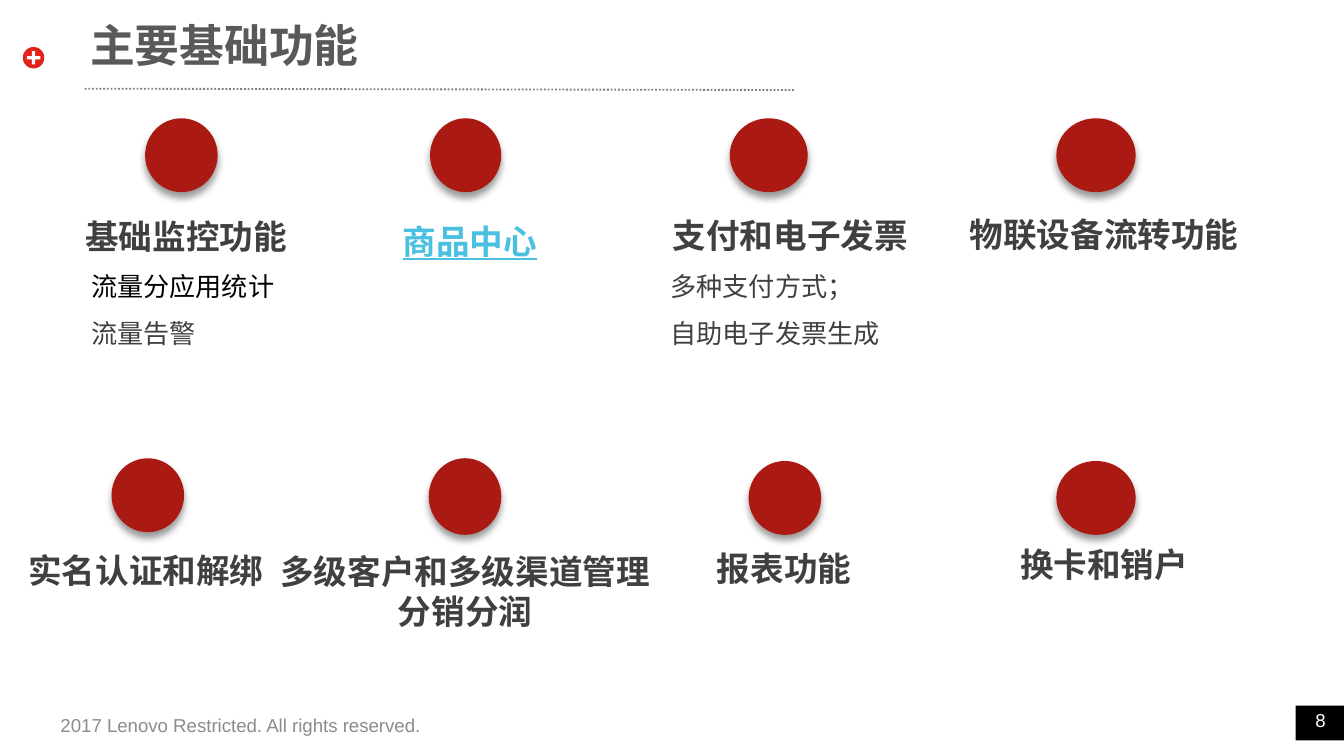
import pptx
import pptx.util
import pptx.dml.color
import pptx.enum.dml
import pptx.enum.shapes
import pptx.enum.text
import pptx.oxml
import pptx.oxml.ns

PX = 9144
SLIDE_WIDTH = 1000 * PX
SLIDE_HEIGHT = SLIDE_WIDTH * 9 // 16
SHAPE = pptx.enum.shapes.MSO_SHAPE
ALIGN = pptx.enum.text.PP_ALIGN
ANCHOR = pptx.enum.text.MSO_ANCHOR
NS = pptx.oxml.ns.nsdecls("a")

THEME = {
    "sans": "Arial", "cjk": "Noto Sans CJK SC", "condensed": "Roboto Condensed",
    "dot": "AA1A13", "icon": "E2231A", "white": "FFFFFF", "black": "000000",
    "title": "595959", "text": "404040", "link": "4AC0E0",
    "rule": "808080", "footer": "8C8C8C",
    "title_pt": 24, "heading_pt": 18, "detail_pt": 14, "small_pt": 10,
}

TITLE = "主要基础功能"
FOOTER = "2017 Lenovo Restricted. All rights reserved."
PAGE = "8"

FEATURES = [
    {"heading": "基础监控功能", "dot": (108, 88, 54, 55), "box": (50, 161, 177, 35),
     "details": [("流量分应用统计", "condensed", "black"), ("流量告警", "cjk", "text")],
     "details_box": (58, 189, 184, 71)},
    {"heading": "商品中心", "dot": (320, 88, 53, 55), "box": (255, 164, 189, 35), "link": True},
    {"heading": "支付和电子发票", "dot": (543, 88, 58, 55), "box": (481, 160, 214, 35),
     "details": [("多种支付方式；", "cjk", "text"), ("自助电子发票生成", "cjk", "text")],
     "details_box": (489, 189, 189, 71)},
    {"heading": "物联设备流转功能", "dot": (786, 88, 59, 55), "box": (698, 159, 247, 35)},
    {"heading": "实名认证和解绑", "dot": (83, 341, 54, 55), "box": (11, 409, 195, 35)},
    {"heading": "多级客户和多级渠道管理分销分润", "dot": (319, 341, 54, 57), "box": (195, 410, 302, 66)},
    {"heading": "报表功能", "dot": (557, 343, 54, 55), "box": (495, 408, 177, 35)},
    {"heading": "换卡和销户", "dot": (786, 343, 59, 55), "box": (698, 405, 247, 35)},
]


def emu(box):
    return [v * PX for v in box]


def rgb(name):
    return pptx.dml.color.RGBColor.from_string(THEME[name])


def add_shape(slide, kind, box, color):
    sp = slide.shapes.add_shape(kind, *emu(box))
    sp.shadow.inherit = False
    sp.fill.solid()
    sp.fill.fore_color.rgb = rgb(color)
    sp.line.fill.background()
    return sp


def add_dot(slide, box):
    sp = add_shape(slide, SHAPE.FLOWCHART_CONNECTOR, box, "dot")
    effects = sp._element.spPr.find(pptx.oxml.ns.qn("a:effectLst"))
    effects.append(pptx.oxml.parse_xml(
        f'<a:outerShdw {NS} blurRad="50800" dist="38100" dir="5400000" rotWithShape="0">'
        f'<a:srgbClr val="{THEME["black"]}"><a:alpha val="40000"/></a:srgbClr></a:outerShdw>'))


def add_text(slide, box, lines, size, align=ALIGN.CENTER, anchor=ANCHOR.TOP,
             insets=(0, 0, 0, 0), bold=False, underline=False, spacing=None):
    tf = slide.shapes.add_textbox(*emu(box)).text_frame
    tf.word_wrap = True
    tf.vertical_anchor = anchor
    tf.margin_left, tf.margin_top, tf.margin_right, tf.margin_bottom = emu(insets)
    for i, (text, face, color) in enumerate(lines):
        p = tf.paragraphs[0] if i == 0 else tf.add_paragraph()
        p.add_run().text = text
        p.alignment = align
        if spacing:
            p.line_spacing = spacing
        font = p.font
        font.name = THEME[face]
        font.size = pptx.util.Pt(THEME[size])
        font.bold = bold
        font.underline = underline
        font.color.rgb = rgb(color)
        p._p.pPr.find(pptx.oxml.ns.qn("a:defRPr")).append(
            pptx.oxml.parse_xml(f'<a:ea {NS} typeface="{THEME[face]}"/>'))


def add_rule(slide, start, end):
    line = slide.shapes.add_connector(
        pptx.enum.shapes.MSO_CONNECTOR.STRAIGHT, *emu(start + end))
    line.line.color.rgb = rgb("rule")
    line.line.width = pptx.util.Pt(1)
    line.line.dash_style = pptx.enum.dml.MSO_LINE.ROUND_DOT
    line._element.spPr.append(pptx.oxml.parse_xml(f"<a:effectLst {NS}/>"))


def add_feature(slide, feature):
    linked = feature.get("link", False)
    add_dot(slide, feature["dot"])
    if "details" in feature:
        add_text(slide, feature["details_box"], feature["details"], "detail_pt",
                 ALIGN.JUSTIFY, ANCHOR.MIDDLE, (10, 0, 0, 0), spacing=1.5)
    add_text(slide, feature["box"],
             [(feature["heading"], "cjk", "link" if linked else "text")],
             "heading_pt", insets=(10, 0, 10, 5), bold=True, underline=linked)


def main():
    prs = pptx.Presentation()
    prs.slide_width = SLIDE_WIDTH
    prs.slide_height = SLIDE_HEIGHT
    slide = prs.slides.add_slide(prs.slide_layouts[6])

    add_shape(slide, SHAPE.RECTANGLE, (964, 525, 36, 26), "black")
    add_text(slide, (45, 531, 339, 33), [(FOOTER, "sans", "footer")], "small_pt", ALIGN.LEFT)
    add_text(slide, (964, 524, 37, 20), [(PAGE, "sans", "white")], "small_pt",
             anchor=ANCHOR.BOTTOM)

    add_shape(slide, SHAPE.OVAL, (17, 35, 16, 16), "icon")
    plus = add_shape(slide, SHAPE.CROSS, (20, 38, 10, 10), "white")
    plus.adjustments[0] = 0.38
    add_rule(slide, (63, 66), (592, 67))
    add_text(slide, (60, 13, 214, 40), [(TITLE, "cjk", "title")], "title_pt", bold=True)

    for feature in FEATURES:
        add_feature(slide, feature)
    prs.save("out.pptx")


if __name__ == "__main__":
    main()
